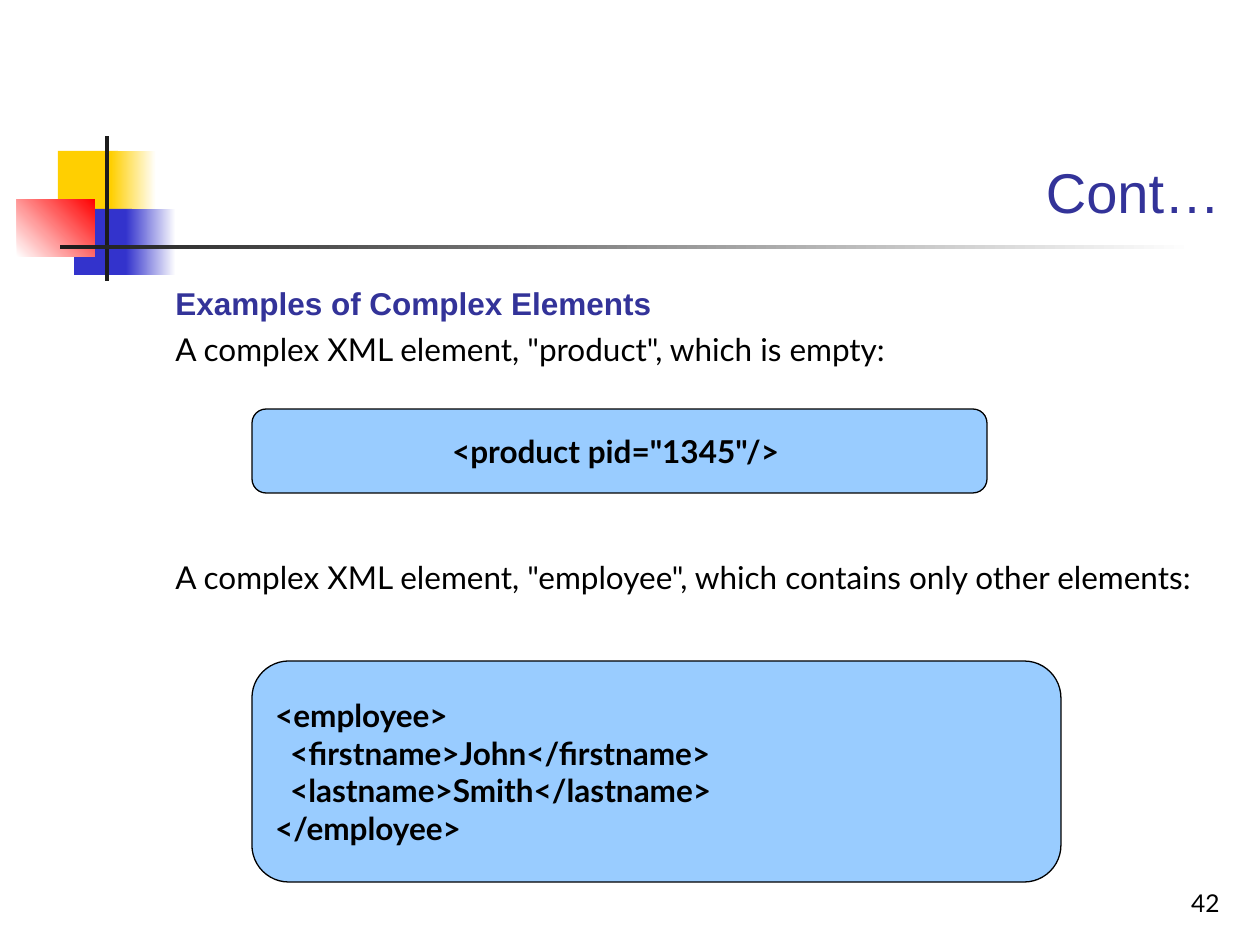
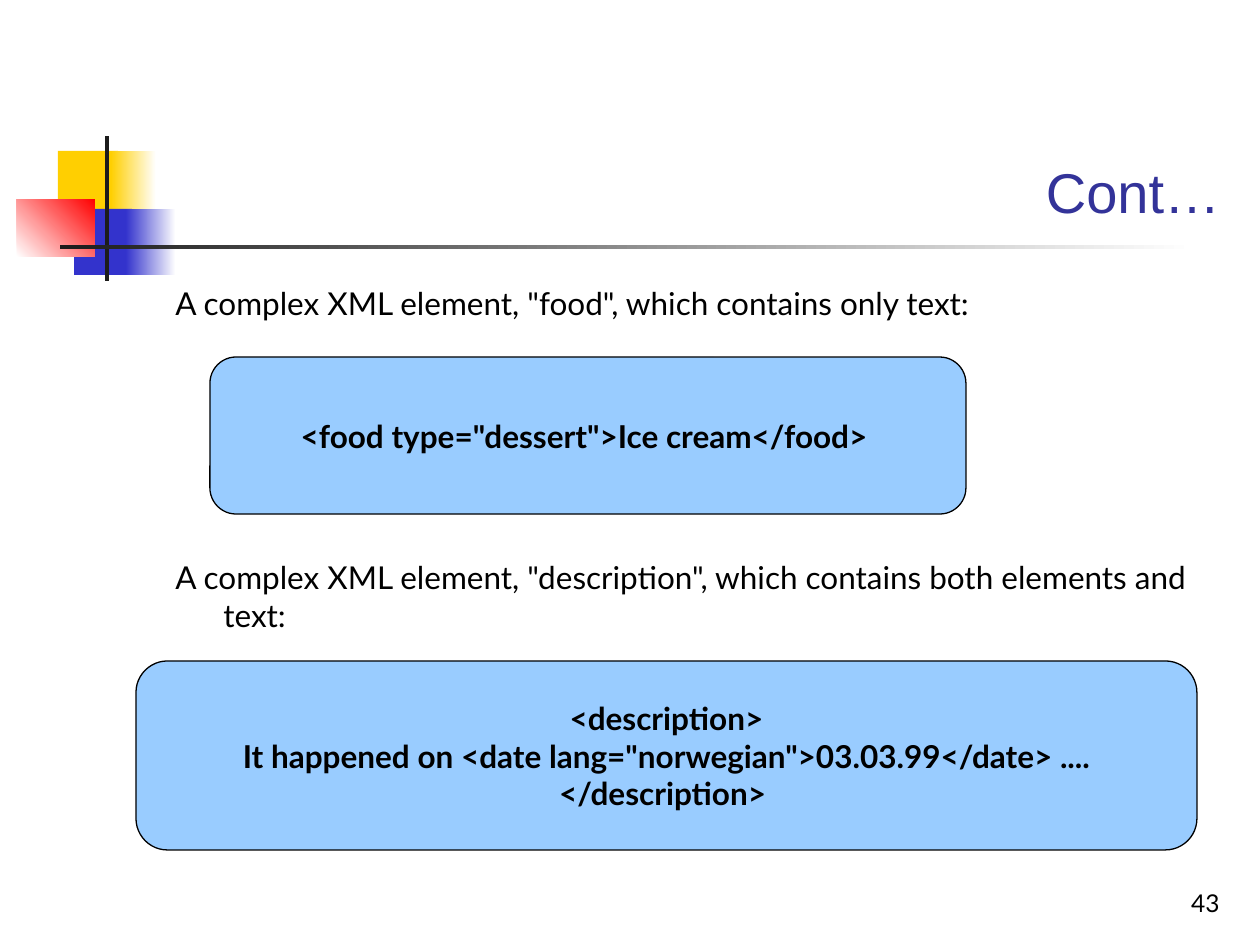
from dataclasses import dataclass

import pptx
import pptx.dml.color
import pptx.enum.shapes
import pptx.enum.text
import pptx.util

SHAPE = pptx.enum.shapes.MSO_SHAPE
ALIGN = pptx.enum.text.PP_ALIGN
ANCHOR = pptx.enum.text.MSO_ANCHOR
PIXELS_PER_INCH = 126


@dataclass(frozen=True)
class Theme:
    heading_font: str = "Arial"
    text_font: str = "Lato"
    heading: str = "333399"
    ink: str = "000000"
    white: str = "FFFFFF"
    code_fill: str = "99CCFF"
    yellow: str = "FFCF01"
    blue: str = "3333CC"
    red: str = "FF0000"
    bar: str = "1C1C1C"
    title_size: int = 32
    text_size: int = 18
    number_size: int = 14
    outline: float = 0.75
    paragraph_gap: float = 4.5
    line_pitch: float = 26.1


THEME = Theme()

TITLE_BOX = (159, 29, 1074, 202)
BODY_BOX = (163, 278, 1071, 567)
NUMBER_BOX = (970, 861, 262, 63)
HANGING_INDENT = 48
CODE_INDENT = 15

DECORATION = [
    ((58, 151, 60, 66), [THEME.yellow], 0),
    ((111, 151, 45, 66), [THEME.yellow, THEME.white], 0),
    ((74, 209, 58, 66), [THEME.blue], 0),
    ((126, 209, 50, 66), [THEME.blue, THEME.white], 0),
    ((17, 199, 78, 58), [THEME.white, THEME.red], 45),
    ((105, 136, 4, 145), [THEME.bar], 0),
    ((60, 245, 1134, 4), [THEME.bar, THEME.white], 0),
]

SLIDES = [
    {
        "title": "Cont…",
        "number": "42",
        "body": [
            ("heading", 0, "Examples of Complex Elements"),
            ("text", 0, 'A complex XML element, "product", which is empty:'),
            ("text", 4, 'A complex XML element, "employee", which contains only other elements:'),
        ],
        "code": [
            ((252, 409, 735, 84), ALIGN.CENTER, [(0, '<product pid="1345"/> ')]),
            ((252, 661, 809, 221), ALIGN.LEFT, [
                (0, "<employee>"),
                (1, "<firstname>John</firstname>"),
                (1, "<lastname>Smith</lastname>"),
                (0, "</employee>"),
            ]),
        ],
    },
    {
        "title": "Cont…",
        "number": "43",
        "body": [
            ("text", 0, 'A complex XML element, "food", which contains only text:'),
            ("text", 5, 'A complex XML element, "description", which contains both elements and text:'),
        ],
        "code": [
            ((210, 357, 756, 157), ALIGN.CENTER,
             [(0, '<food type="dessert">Ice cream</food> ')]),
            ((136, 661, 1061, 189), ALIGN.CENTER, [
                (0, "<description>"),
                (0, 'It happened on <date lang="norwegian">03.03.99</date> ....'),
                (0, "</description> "),
            ]),
        ],
    },
]


def px(length):
    return pptx.util.Emu(round(length * 914400 / PIXELS_PER_INCH))


def place(box):
    return [px(length) for length in box]


def rgb(color):
    return pptx.dml.color.RGBColor.from_string(color)


def add_run(paragraph, text, size, font=THEME.text_font, color=THEME.ink, bold=False):
    run = paragraph.add_run()
    run.text = text
    run.font.name = font
    run.font.size = pptx.util.Pt(size)
    run.font.bold = bold
    run.font.color.rgb = rgb(color)


def indent(paragraph, left, first_line=0):
    properties = paragraph._p.get_or_add_pPr()
    properties.set("marL", str(px(left)))
    properties.set("indent", str(px(first_line)))


def paragraphs(frame, items):
    for index, item in enumerate(items):
        yield frame.add_paragraph() if index else frame.paragraphs[0], item


def add_decoration(slide):
    layout_tree = slide.slide_layout.shapes.element
    for position, (box, colors, angle) in enumerate(DECORATION, start=2):
        shape = slide.shapes.add_shape(SHAPE.RECTANGLE, *place(box))
        shape.shadow.inherit = False
        shape.line.fill.background()
        if len(colors) == 1:
            shape.fill.solid()
            shape.fill.fore_color.rgb = rgb(colors[0])
        else:
            shape.fill.gradient()
            shape.fill.gradient_angle = angle
            for stop, color in zip(shape.fill.gradient_stops, colors):
                stop.color.rgb = rgb(color)
        layout_tree.insert(position, shape.element)


def add_title(slide, text):
    title = slide.shapes.title
    title.left, title.top, title.width, title.height = place(TITLE_BOX)
    frame = title.text_frame
    frame.auto_size = pptx.enum.text.MSO_AUTO_SIZE.NONE
    frame.vertical_anchor = ANCHOR.BOTTOM
    paragraph = frame.paragraphs[0]
    paragraph.alignment = ALIGN.RIGHT
    add_run(paragraph, text, THEME.title_size, THEME.heading_font, THEME.heading)


def add_body(slide, items):
    frame = slide.shapes.add_textbox(*place(BODY_BOX)).text_frame
    frame.word_wrap = True
    for paragraph, (style, skipped_lines, text) in paragraphs(frame, items):
        indent(paragraph, HANGING_INDENT, -HANGING_INDENT)
        gap = THEME.paragraph_gap + skipped_lines * THEME.line_pitch
        paragraph.space_before = pptx.util.Pt(gap)
        if style == "heading":
            add_run(paragraph, text, THEME.text_size, THEME.heading_font, THEME.heading, True)
        else:
            add_run(paragraph, text, THEME.text_size)


def add_code(slide, box, alignment, lines):
    shape = slide.shapes.add_shape(SHAPE.ROUNDED_RECTANGLE, *place(box))
    shape.shadow.inherit = False
    shape.fill.solid()
    shape.fill.fore_color.rgb = rgb(THEME.code_fill)
    shape.line.color.rgb = rgb(THEME.ink)
    shape.line.width = pptx.util.Pt(THEME.outline)
    frame = shape.text_frame
    frame.word_wrap = False
    frame.vertical_anchor = ANCHOR.MIDDLE
    for paragraph, (level, text) in paragraphs(frame, lines):
        paragraph.alignment = alignment
        indent(paragraph, level * CODE_INDENT)
        add_run(paragraph, text, THEME.text_size, bold=True)


def add_number(slide, text):
    frame = slide.shapes.add_textbox(*place(NUMBER_BOX)).text_frame
    frame.word_wrap = True
    frame.vertical_anchor = ANCHOR.BOTTOM
    paragraph = frame.paragraphs[0]
    paragraph.alignment = ALIGN.RIGHT
    add_run(paragraph, text, THEME.number_size)


def main():
    presentation = pptx.Presentation()
    presentation.slide_width = px(1260)
    presentation.slide_height = px(945)
    layout = presentation.slide_layouts.get_by_name("Title Only")
    for index, content in enumerate(SLIDES):
        slide = presentation.slides.add_slide(layout)
        if index == 0:
            add_decoration(slide)
        add_title(slide, content["title"])
        add_body(slide, content["body"])
        for box, alignment, lines in content["code"]:
            add_code(slide, box, alignment, lines)
        add_number(slide, content["number"])
    presentation.save("out.pptx")


if __name__ == "__main__":
    main()
